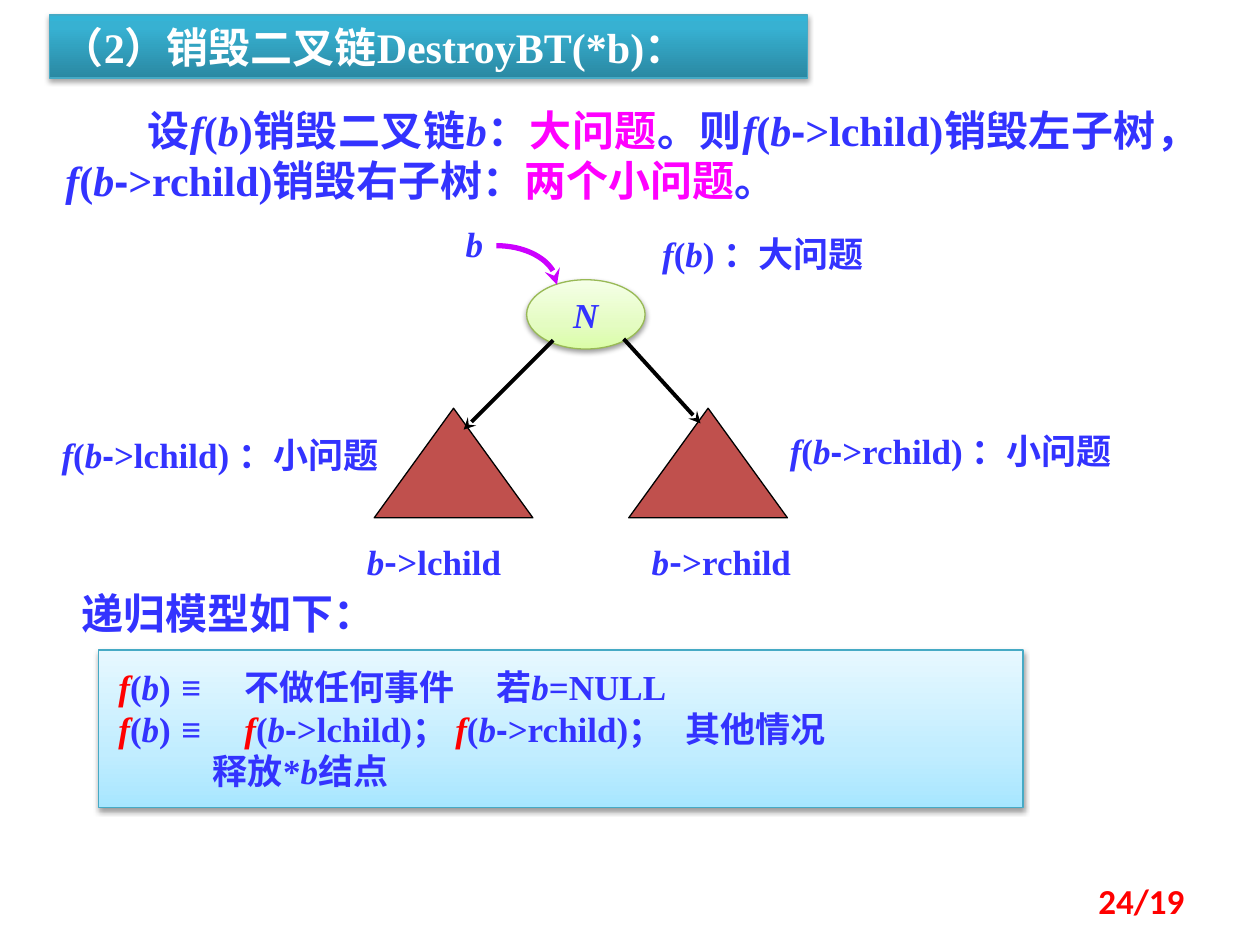
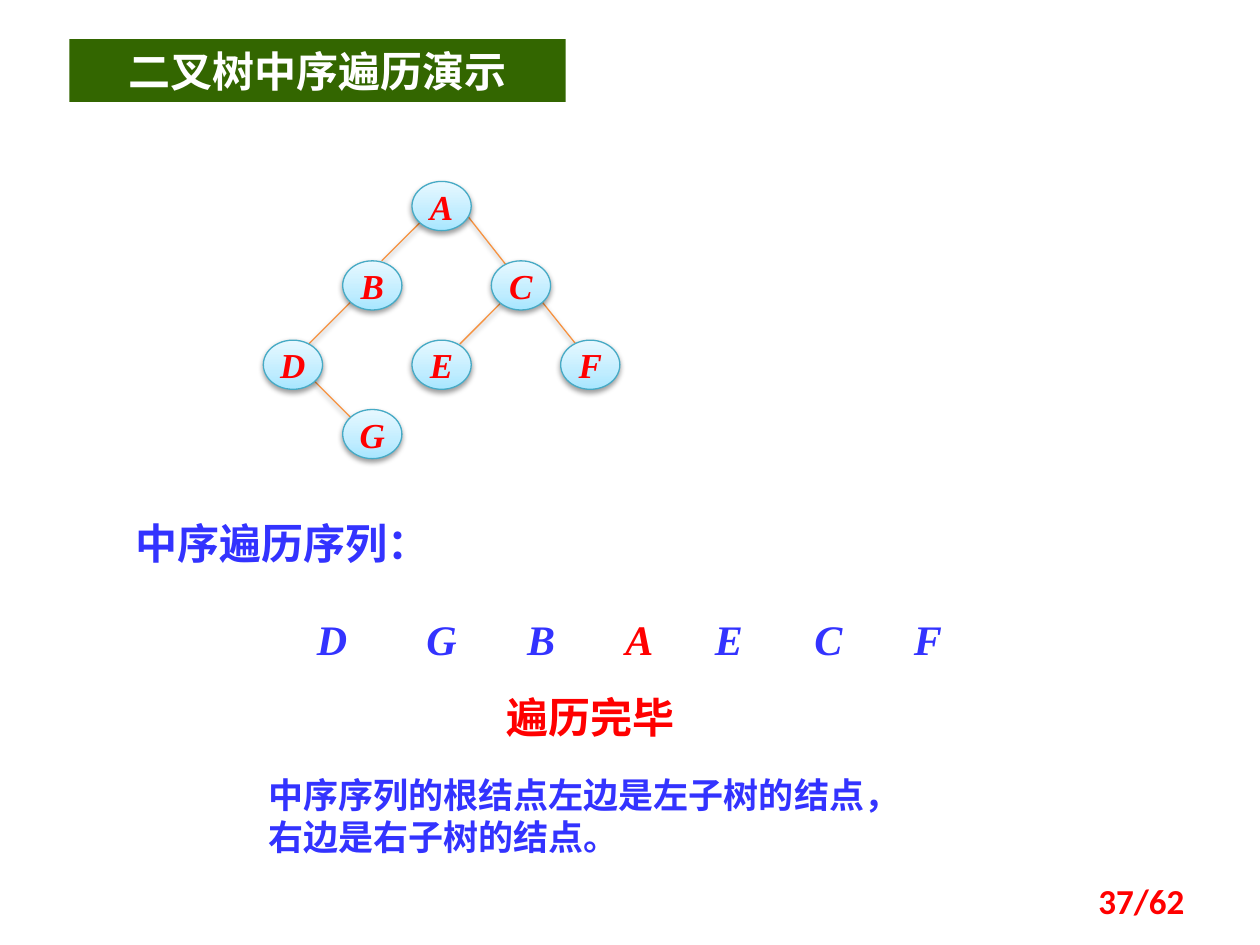
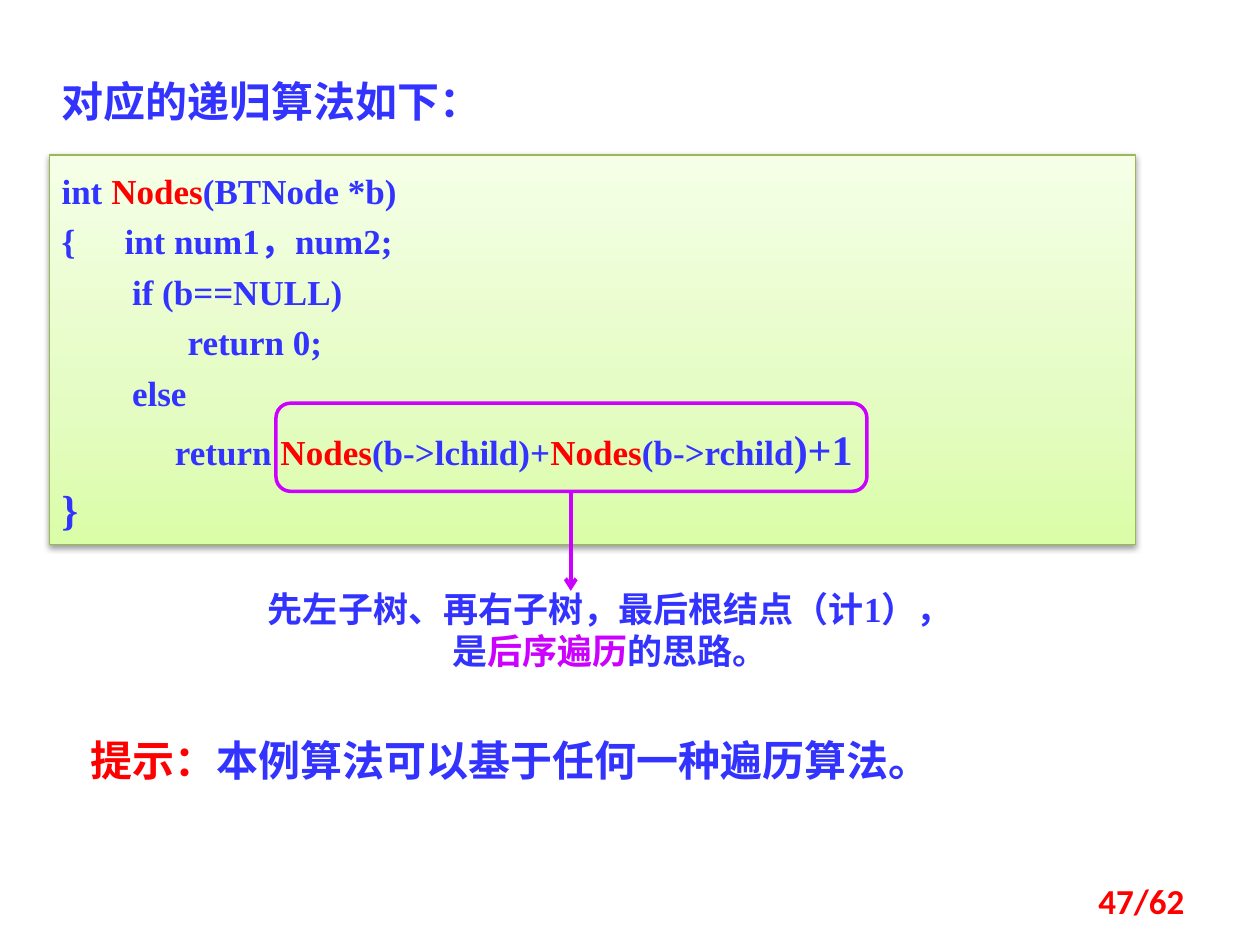
from math import cos, pi, sin

from lxml import etree
from pptx import Presentation
from pptx import util as u
from pptx.dml.color import RGBColor
from pptx.enum import shapes, text
from pptx.oxml import ns

COLORS = {
    "blue": "3333FF", "red": "FF0000", "magenta": "FF00FF", "violet": "CC00FF",
    "white": "FFFFFF", "black": "000000", "brick": "C0504D", "forest": "336600",
    "aqua": "46AAC5", "lime": "98B955", "orange": "F69240",
}
# Gradient stops (percent, colour), running from bottom to top
GRADIENTS = {
    "teal": [(0, "2A88A2"), (80, "37B1D2"), (100, "34B4D6")],
    "ice": [(0, "A7E6FF"), (35, "C1EDFF"), (100, "E7F8FF")],
    "leaf": [(0, "DAFDA7"), (35, "E4FCC2"), (100, "F5FFE7")],
}
SERIF, SANS, CJK, NUMBER = "Times New Roman", "Arial", "Noto Sans CJK SC", "Calibri"
KIND = shapes.MSO_SHAPE
LEFT, CENTER = text.PP_ALIGN.LEFT, text.PP_ALIGN.CENTER
RIGHT, JUSTIFY = text.PP_ALIGN.RIGHT, text.PP_ALIGN.JUSTIFY
TOP, MIDDLE = text.MSO_ANCHOR.TOP, text.MSO_ANCHOR.MIDDLE


def rgb(name):
    return RGBColor.from_string(COLORS[name])


def child(parent, tag, **attributes):
    return etree.SubElement(parent, ns.qn("a:" + tag),
                            {key: str(value) for key, value in attributes.items()})


def emu(inches):
    return int(u.Inches(inches))


class Deck:
    """Holds the shared style and the slide being drawn."""

    def __init__(self):
        self.prs = Presentation()
        self.prs.slide_width, self.prs.slide_height = u.Inches(10), u.Inches(7.5)
        self.slide = None

    def start(self, title, box, page, **style):
        self.slide = self.prs.slides.add_slide(self.prs.slide_layouts[5])
        heading = self.slide.shapes.title
        heading.left, heading.top, heading.width, heading.height = map(u.Inches, box)
        look = {key: style.pop(key) for key in ("fill", "line", "shadow") if key in style}
        if look:
            self.paint(heading, **look)
        self.typeset(heading, [title], **{"size": 24, **style})
        self.label([page], (7.17, 6.95, 2.33, 0.4), color="red", font=NUMBER,
                   align=RIGHT, anchor=MIDDLE)

    # Look of a shape
    def paint(self, shape, fill=None, line=None, width=0.75, shadow=None):
        if fill in GRADIENTS:
            shape.fill.gradient()
            shape.fill.gradient_angle = 90
            stops = next(shape._element.spPr.iter(ns.qn("a:gsLst")))
            for stop in list(stops):
                stops.remove(stop)
            for percent, value in GRADIENTS[fill]:
                child(child(stops, "gs", pos=percent * 1000), "srgbClr", val=value)
        elif fill:
            shape.fill.solid()
            shape.fill.fore_color.rgb = rgb(fill)
        else:
            shape.fill.background()
        if line:
            shape.line.color.rgb = rgb(line)
            shape.line.width = u.Pt(width)
        else:
            shape.line.fill.background()
        shape.shadow.inherit = False
        if shadow:
            self.cast(shape._element.spPr.find(ns.qn("a:effectLst")), shadow)

    def cast(self, effects, opacity, distance=1.6):
        drop = child(effects, "outerShdw", blurRad=int(u.Pt(3.1)),
                     dist=int(u.Pt(distance)), dir=5400000, rotWithShape=0)
        child(child(drop, "srgbClr", val=COLORS["black"]), "alpha", val=opacity * 1000)

    def arrowhead(self, shape, head):
        outline = shape._element.spPr.find(ns.qn("a:ln"))
        child(outline, "tailEnd", type=head)

    # Text: underscores switch italics, (text, colour) pairs recolour,
    # a dash font sets the hyphens apart
    def typeset(self, shape, paragraphs, size=20, color="blue", font=SERIF, dash=None,
                align=LEFT, anchor=TOP, wrap=True, inset=(0.1, 0.05), spacing=None,
                indents=(), tabs=(), first=0):
        frame = shape.text_frame
        frame.auto_size = text.MSO_AUTO_SIZE.NONE
        frame.word_wrap, frame.vertical_anchor = wrap, anchor
        frame.margin_left = frame.margin_right = u.Inches(inset[0])
        frame.margin_top = frame.margin_bottom = u.Inches(inset[1])
        for index, parts in enumerate(paragraphs):
            line = frame.add_paragraph() if index else frame.paragraphs[0]
            line.alignment = align
            if spacing:
                line.line_spacing = spacing
            props = line._p.get_or_add_pPr()
            props.set("marL", str(emu(indents[index]) if indents else 0))
            props.set("indent", str(emu(first)))
            if tabs:
                stops = child(props, "tabLst")
                for stop in tabs:
                    child(stops, "tab", pos=emu(stop), algn="l")
            for part in [parts] if isinstance(parts, str) else parts:
                words, tint, *points = (part, color) if isinstance(part, str) else part
                points = points[0] if points else size
                for turn, piece in enumerate(words.split("_")):
                    for nth, bit in enumerate(piece.split("-") if dash else [piece]):
                        if nth:
                            self.run(line, "-", points, tint, dash)
                        if bit:
                            self.run(line, bit, points, tint, font, turn % 2 == 1)

    def run(self, line, words, size, color, font, italic=False):
        run = line.add_run()
        run.text = words
        run.font.size, run.font.name = u.Pt(size), font
        run.font.bold, run.font.italic = True, italic
        run.font.color.rgb = rgb(color)
        run._r.rPr.find(ns.qn("a:latin")).addnext(
            etree.Element(ns.qn("a:ea"), typeface=CJK))

    # Elements
    def label(self, paragraphs, box, **style):
        holder = self.slide.shapes.add_textbox(*map(u.Inches, box))
        self.typeset(holder, paragraphs, **style)

    def shape(self, kind, box, **look):
        drawn = self.slide.shapes.add_shape(kind, *map(u.Inches, box))
        self.paint(drawn, **look)
        return drawn

    def panel(self, paragraphs, box, fill, line, **style):
        drawn = self.shape(KIND.RECTANGLE, box, fill=fill, line=line, shadow=38)
        self.typeset(drawn, paragraphs, **style)

    def node(self, name, box, fill, line, color):
        drawn = self.shape(KIND.OVAL, box, fill=fill, line=line, shadow=38)
        self.typeset(drawn, [f"_{name}_"], color=color, align=CENTER, anchor=MIDDLE,
                     wrap=False)

    def line(self, start, end, color, width, head=None, shadow=None):
        drawn = self.slide.shapes.add_connector(
            shapes.MSO_CONNECTOR.STRAIGHT, *map(u.Inches, start + end))
        drawn.line.color.rgb = rgb(color)
        drawn.line.width = u.Pt(width)
        if head:
            self.arrowhead(drawn, head)
        effects = child(drawn._element.spPr, "effectLst")
        if shadow:
            self.cast(effects, shadow)

    def quarter_arc(self, left, top, width, height, color, weight, head):
        steps = 24
        points = [(emu(left + width * sin(pi / 2 * n / steps)),
                   emu(top + height * (1 - cos(pi / 2 * n / steps))))
                  for n in range(steps + 1)]
        builder = self.slide.shapes.build_freeform(*points[0])
        builder.add_line_segments(points[1:], close=False)
        drawn = builder.convert_to_shape()
        self.paint(drawn, line=color, width=weight)
        self.arrowhead(drawn, head)


deck = Deck()

# Slide 1: destroying a binary tree
deck.start("（2）销毁二叉链DestroyBT(*b)：", (0.39, 0.12, 6.02, 0.5), "24/19",
           color="white", fill="teal", line="aqua", shadow=35)
deck.label([["设_f_(_b_)销毁二叉链_b_：", ("大问题", "magenta"),
             "。则_f_(_b_->lchild)销毁左子树，_ f_(_b_->rchild)销毁右子树：",
             ("两个小问题", "magenta"), "。"]],
           (0.42, 0.78, 9.19, 0.91), size=24, dash=SANS, align=JUSTIFY, first=0.65)

# Root, its pointer and the two subtrees
deck.node("N", (4.18, 2.22, 0.94, 0.55), "leaf", "lime", "blue")
deck.quarter_arc(3.94, 1.95, 0.48, 0.31, "violet", 3, "stealth")
for subtree_left in (2.97, 4.99):
    deck.shape(KIND.ISOSCELES_TRIANGLE, (subtree_left, 3.24, 1.26, 0.87),
               fill="brick", line="black")
deck.line((4.39, 2.7), (3.68, 3.41), "black", 2.25, "stealth")
deck.line((4.95, 2.69), (5.56, 3.36), "black", 2.25, "stealth")
deck.label(["_b_"], (3.37, 1.72, 0.79, 0.44), align=CENTER)
for side, left in (("l", 2.5), ("r", 4.78)):
    deck.label([f"_b_->{side}child"], (left, 4.24, 1.89, 0.44), dash=CJK, align=CENTER)
deck.label(["_f_(_b_) ：大问题"], (4.69, 1.8, 2.73, 0.44), align=CENTER)
for side, left, top in (("l", 0.39, 3.39), ("r", 6.17, 3.36)):
    deck.label([f"_f_(_b_->{side}child) ：小问题"], (left, top, 3.05, 0.44), dash=SANS)

# Recursive model
call = ("_f_", "red")
deck.label(["递归模型如下："], (0.55, 4.61, 3.98, 0.5), size=24)
deck.panel([[call, "(_b_)\t≡\t不做任何事件\t若_b_=NULL"],
            [call, "(_b_)\t≡\t", call, "(_b_->lchild)； ", call,
             "(_b_->rchild)；\t其他情况"],
            "释放*_b_结点"],
           (0.78, 5.16, 7.34, 1.25), "ice", "aqua", dash=SANS, inset=(0.16, 0.12),
           indents=(0, 0, 0.75), tabs=(0.56, 0.92, 5))

# Slide 2: inorder traversal
deck.start("二叉树中序遍历演示", (0.55, 0.31, 3.94, 0.5), "37/62",
           color="white", font=CJK, align=CENTER, fill="forest")
edges = [((2.48, 3.01), (2.8, 3.33)), ((3.35, 1.75), (3.03, 2.07)),
         ((3.7, 1.7), (4.03, 2.12)), ((2.8, 2.38), (2.4, 2.78)),
         ((3.97, 2.41), (3.65, 2.73)), ((4.29, 2.38), (4.61, 2.78))]
for parent, descendant in edges:
    deck.line(parent, descendant, "orange", 0.75, shadow=38)
tree = {"A": (3.27, 1.44), "B": (2.72, 2.07), "C": (3.9, 2.07), "D": (2.09, 2.7),
        "E": (3.27, 2.7), "F": (4.45, 2.7), "G": (2.72, 3.25)}
for name, corner in tree.items():
    deck.node(name, corner + (0.47, 0.39), "ice", "aqua", "red")

# Visiting order
deck.label(["中序遍历序列："], (0.98, 4.06, 2.84, 0.5), size=24, font=CJK)
visits = zip("DGBAECF", (2.24, 3.11, 3.9, 4.68, 5.39, 6.18, 6.97))
for name, left in visits:
    deck.label([f"_{name}_"], (left, 4.82, 0.79, 0.5), size=24, align=CENTER,
               color="red" if name == "A" else "blue")
deck.label(["遍历完毕"], (3.35, 5.44, 2.68, 0.5), size=24, color="red", font=CJK,
           align=CENTER)
deck.label(["中序序列的根结点左边是左子树的结点，", "右边是右子树的结点。"],
           (2.03, 6.09, 6.48, 0.77), font=CJK)

# Slide 3: counting nodes
deck.start("对应的递归算法如下：", (0.39, 0.47, 4.49, 0.54), "47/62", spacing=1.2)
nodes = ("Nodes", "red")
deck.panel([["int ", nodes, "(BTNode *b)"],
            "{\tint num1，num2;",
            "if (b==NULL)",
            "return 0;",
            "else",
            ["return ", nodes, "(b->lchild)+", nodes, "(b->rchild", (")+1", "blue", 24)],
            [("}", "blue", 24)]],
           (0.39, 1.23, 8.62, 3.09), "leaf", "lime", spacing=1.2,
           indents=(0, 0, 0.56, 1, 0.56, 0.9, 0), tabs=(0.53,))

# Remark on the recursive call
deck.shape(KIND.ROUNDED_RECTANGLE, (2.19, 3.2, 4.69, 0.7), line="violet", width=2)
deck.line((4.53, 3.91), (4.53, 4.69), "violet", 2.25, "arrow")
deck.label(["先左子树、再右子树，最后根结点（计1），",
            ["是", ("后序遍历", "violet"), "的思路。"]],
           (1.87, 4.61, 5.94, 0.77), align=CENTER)
deck.label([[("提示：", "red"), "本例算法可以基于任何一种遍历算法。"]],
           (0.62, 5.78, 7.01, 0.5), size=24)

deck.prs.save("out.pptx")
